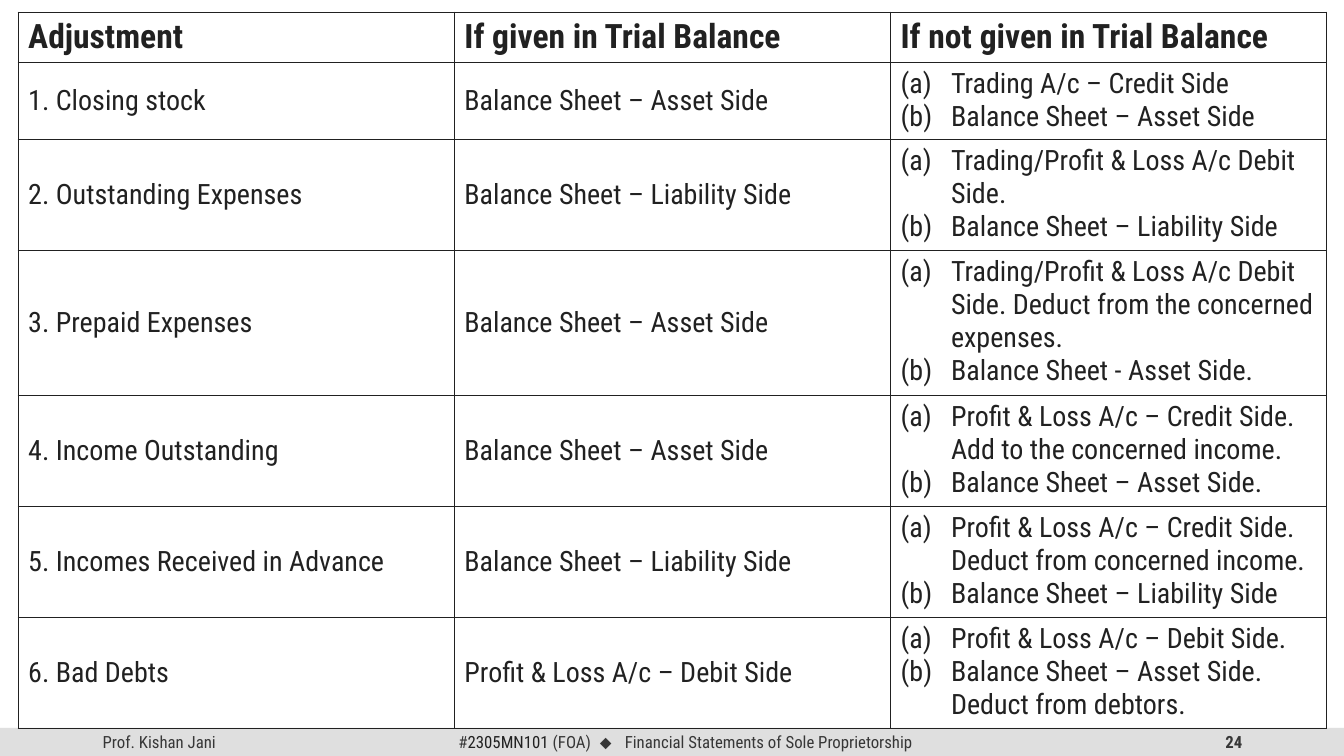
from lxml.etree import SubElement
from pptx import Presentation
from pptx.dml.color import RGBColor
from pptx.enum.shapes import MSO_SHAPE
from pptx.enum.text import MSO_ANCHOR as Anchor, PP_ALIGN as Align
from pptx.oxml.ns import qn
from pptx.util import Inches, Pt

HEADINGS = ["Adjustment", "If given in Trial Balance", "If not given in Trial Balance"]
ADJUSTMENTS = [
    ("1. Closing stock", "Balance Sheet – Asset Side",
     ["Trading A/c – Credit Side", "Balance Sheet – Asset Side"]),
    ("2. Outstanding Expenses", "Balance Sheet – Liability Side",
     ["Trading/Profit & Loss A/c Debit Side.", "Balance Sheet – Liability Side"]),
    ("3. Prepaid Expenses", "Balance Sheet – Asset Side",
     ["Trading/Profit & Loss A/c Debit Side. Deduct from the concerned expenses.",
      "Balance Sheet - Asset Side."]),
    ("4. Income Outstanding", "Balance Sheet – Asset Side",
     ["Profit & Loss A/c – Credit Side. Add to the concerned income.",
      "Balance Sheet – Asset Side."]),
    ("5. Incomes Received in Advance", "Balance Sheet – Liability Side",
     ["Profit & Loss A/c – Credit Side. Deduct from concerned income.",
      "Balance Sheet – Liability Side"]),
    ("6. Bad Debts", "Profit & Loss A/c – Debit Side",
     ["Profit & Loss A/c – Debit Side.",
      "Balance Sheet – Asset Side. Deduct from debtors."]),
]
ROW_HEIGHTS = [0.49, 0.75, 1.08, 1.41, 1.08, 1.08, 1.08]


def color(hex_string):
    return RGBColor.from_string(hex_string)


def add_run(paragraph, text, size=20, hex_color="212121", font="Roboto Condensed",
            bold=False, spacing=None):
    """Append formatted text; spacing is extra letter spacing in points."""
    run = paragraph.add_run()
    run.text = text
    run.font.name = font
    run.font.size = Pt(size)
    run.font.bold = bold
    run.font.color.rgb = color(hex_color)
    if spacing:
        run.font._element.set("spc", str(spacing * 100))


def letter_item(paragraph):
    """Number the paragraph (a), (b), ... with a hanging indent."""
    properties = paragraph._p.get_or_add_pPr()
    properties.set("marL", str(Inches(0.5)))
    properties.set("indent", str(Inches(-0.5)))
    SubElement(properties, qn("a:buFont"), typeface="+mj-lt")
    SubElement(properties, qn("a:buAutoNum"), type="alphaLcParenBoth")


class SlideBuilder:
    ink = "212121"
    footer_ink = "373737"
    footer_fill = "DFDFDF"
    footer_top = 7.22
    footer_height = 0.28

    def __init__(self, slide):
        self.slide = slide

    def footer_bar(self):
        bar = self.slide.shapes.add_shape(
            MSO_SHAPE.RECTANGLE, 0, Inches(self.footer_top),
            Inches(13.33), Inches(self.footer_height))
        bar.shadow.inherit = False
        bar.fill.solid()
        bar.fill.fore_color.rgb = color(self.footer_fill)
        bar.line.fill.background()

    def footer_text(self, left, width, runs, align=Align.LEFT):
        """Add a footer box; runs are pairs of text and format overrides."""
        box = self.slide.shapes.add_textbox(
            Inches(left), Inches(self.footer_top), Inches(width), Inches(self.footer_height))
        frame = box.text_frame
        frame.word_wrap = True
        frame.vertical_anchor = Anchor.MIDDLE
        paragraph = frame.paragraphs[0]
        paragraph.alignment = align
        for text, overrides in runs:
            add_run(paragraph, text, **{"size": 12, "hex_color": self.footer_ink, **overrides})

    def cell_style(self, cell):
        """Draw thin borders on all sides and leave the cell unfilled."""
        properties = cell._tc.get_or_add_tcPr()
        for side in ("lnL", "lnR", "lnT", "lnB"):
            line = SubElement(properties, qn(f"a:{side}"), w=str(Pt(1)))
            fill = SubElement(line, qn("a:solidFill"))
            SubElement(fill, qn("a:srgbClr"), val=self.ink)
        cell.fill.background()

    def adjustment_table(self):
        rows = [HEADINGS, *ADJUSTMENTS]
        table = self.slide.shapes.add_table(
            len(rows), len(HEADINGS), Inches(0.18), Inches(0.12),
            Inches(12.98), Inches(sum(ROW_HEIGHTS))).table
        table.horz_banding = False
        for column in table.columns:
            column.width = Inches(12.98 / len(HEADINGS))
        for row_index, (values, height) in enumerate(zip(rows, ROW_HEIGHTS)):
            table.rows[row_index].height = Inches(height)
            is_heading = row_index == 0
            for column_index, value in enumerate(values):
                cell = table.cell(row_index, column_index)
                self.cell_style(cell)
                is_list = isinstance(value, list)
                cell.vertical_anchor = Anchor.TOP if is_heading or is_list else Anchor.MIDDLE
                frame = cell.text_frame
                for index, text in enumerate(value if is_list else [value]):
                    paragraph = frame.add_paragraph() if index else frame.paragraphs[0]
                    if is_list:
                        letter_item(paragraph)
                    add_run(paragraph, text, size=24 if is_heading else 20, bold=is_heading)


def main():
    presentation = Presentation()
    presentation.slide_width = Inches(13.33)
    presentation.slide_height = Inches(7.5)
    builder = SlideBuilder(presentation.slides.add_slide(presentation.slide_layouts[6]))
    builder.footer_bar()
    builder.footer_text(0.92, 3, [("Prof. Kishan Jani", {})])
    builder.footer_text(9.42, 3, [("24", {"bold": True})], Align.RIGHT)
    builder.footer_text(4.18, 5.24, [
        ("#", {}),
        ("2305MN101 ", {"hex_color": builder.ink}),
        ("(FOA)", {}),
        (" ⬥ ", {"font": "Arial", "spacing": 3}),
        ("Financial Statements of Sole Proprietorship", {}),
    ], Align.CENTER)
    builder.adjustment_table()
    presentation.save("out.pptx")


if __name__ == "__main__":
    main()
